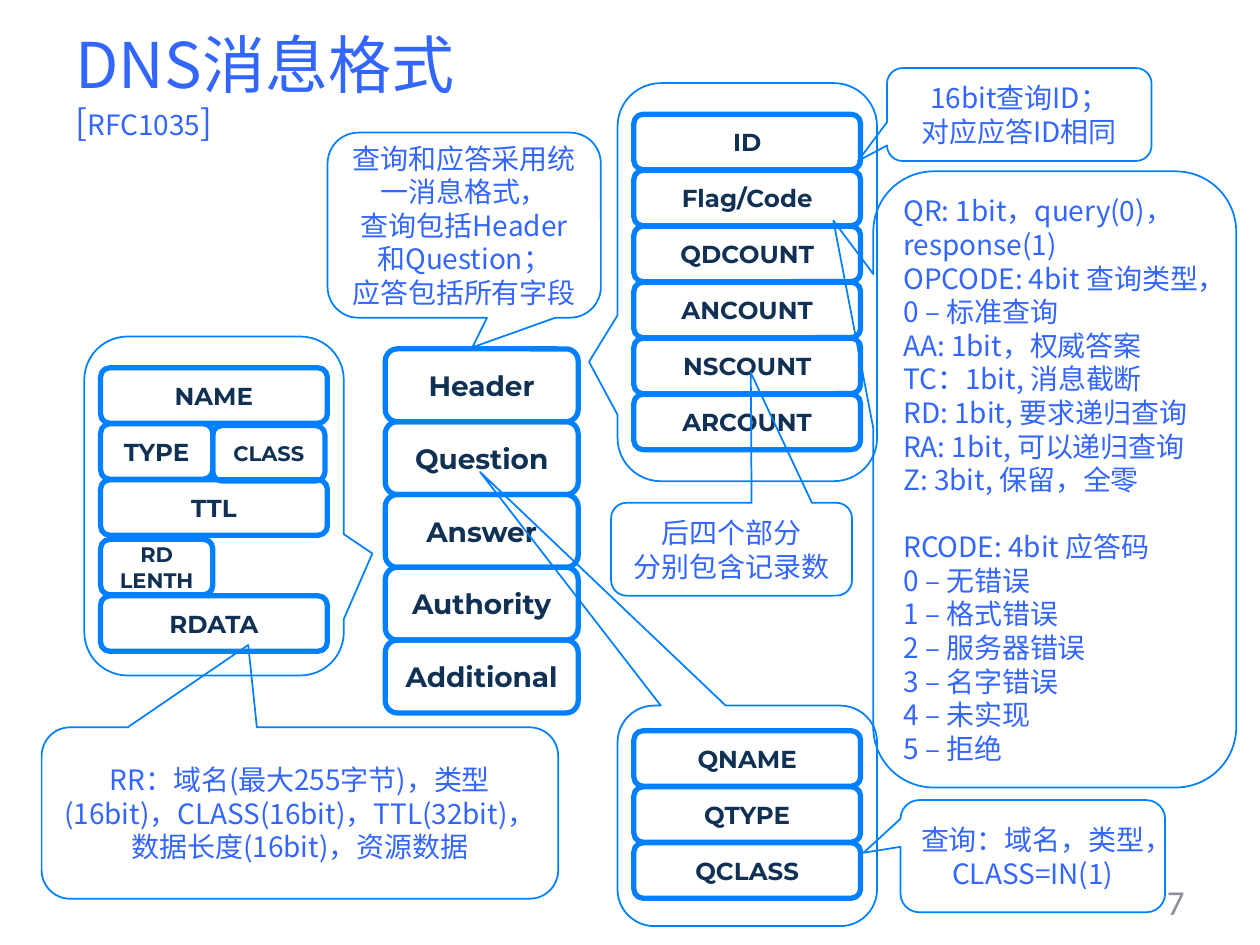
from dataclasses import dataclass

from lxml import etree
from pptx import Presentation
from pptx.dml.color import RGBColor
from pptx.enum.shapes import MSO_SHAPE
from pptx.enum.text import MSO_ANCHOR, MSO_AUTO_SIZE, PP_ALIGN
from pptx.oxml.ns import qn
from pptx.util import Pt

ROUNDED, CALLOUT = MSO_SHAPE.ROUNDED_RECTANGLE, MSO_SHAPE.ROUNDED_RECTANGULAR_CALLOUT
LEFT, CENTER, RIGHT = PP_ALIGN.LEFT, PP_ALIGN.CENTER, PP_ALIGN.RIGHT
MIDDLE = MSO_ANCHOR.MIDDLE
NO_AUTOFIT = MSO_AUTO_SIZE.NONE
TITLE_ONLY = 5


@dataclass(frozen=True)
class Theme:
    outline: RGBColor = RGBColor(0x00, 0x80, 0xFF)
    label: RGBColor = RGBColor(0x10, 0x31, 0x54)
    note: RGBColor = RGBColor(0x33, 0x66, 0xFF)
    number: RGBColor = RGBColor(0x8C, 0x90, 0x99)
    label_font: str = "Montserrat"
    note_font: str = "Noto Sans CJK SC"
    number_font: str = "Calibri"
    title_size: float = 36
    bracket_size: float = 20
    section_size: float = 16
    field_size: float = 14
    small_size: float = 12
    note_size: float = 16
    note_line: float = 19.2
    box_line: float = 3
    callout_line: float = 1


THEME = Theme()

TITLE = "DNS消息格式"
REFERENCE = "RFC1035"
PAGE_NUMBER = "7"

SECTIONS = ["Header", "Question", "Answer", "Authority", "Additional"]
SECTION_LEFT, SECTION_TOP, SECTION_WIDTH, SECTION_PITCH = 220.2, 199.4, 110.2, 41.6

FIELD_WIDTH, HALF_WIDTH, FIELD_HEIGHT, FIELD_PITCH = 129.6, 64.1, 31.7, 32
FRAME_WIDTH, FRAME_MARGIN = 148.3, 9.3


def stack(labels):
    """Full-width fields, one to a row: (lines, left, top, width, size)."""
    return [([label], 0, row * FIELD_PITCH, FIELD_WIDTH, THEME.field_size)
            for row, label in enumerate(labels)]


RECORD_FIELDS = [
    (["NAME"], 0, 0, FIELD_WIDTH, THEME.field_size),
    (["TYPE"], 0, FIELD_PITCH, HALF_WIDTH, THEME.field_size),
    (["CLASS"], HALF_WIDTH, FIELD_PITCH + 1, HALF_WIDTH, THEME.small_size),
    (["TTL"], 0, 2 * FIELD_PITCH, FIELD_WIDTH, THEME.field_size),
    (["RD", "LENTH"], 0, 98, HALF_WIDTH, THEME.small_size),
    (["RDATA"], 0, 130.3, FIELD_WIDTH, THEME.field_size),
]

# fields, first field's left and top, frame top and height, pointer tip
FIELD_GROUPS = [
    (stack(["ID", "Flag/Code", "QDCOUNT", "ANCOUNT", "NSCOUNT", "ARCOUNT"]),
     362.2, 65.3, 47.5, 227.5, (-0.61, 0.2)),
    (stack(["QNAME", "QTYPE", "QCLASS"]),
     362.2, 417.6, 403.2, 126, (-1.03, -1.56)),
    (RECORD_FIELDS, 57.5, 210.2, 192.3, 193.7, (0.61, 0.14)),
]

# paragraphs, (left, top, width, height), pointer tip, alignment
NOTES = [
    (["查询和应答采用统一消息格式，", "查询包括Header和Question；", "应答包括所有字段"],
     (187.2, 75.8, 156.2, 105.8), (0.03, 0.66), CENTER),
    (["16bit查询ID；", "对应应答ID相同"],
     (506.9, 38.9, 151.2, 53.1), (-0.61, 0.5), CENTER),
    (["QR: 1bit，query(0)，", "response(1)", "OPCODE: 4bit 查询类型，0 – 标准查询",
      "AA: 1bit，权威答案", "TC：1bit, 消息截断", "RD: 1bit, 要求递归查询",
      "RA: 1bit, 可以递归查询", "Z: 3bit, 保留，全零", "RCODE: 4bit 应答码",
      "0 – 无错误", "1 – 格式错误", "2 – 服务器错误", "3 – 名字错误",
      "4 – 未实现", "5 – 拒绝"],
     (499, 97.9, 207.4, 352.1), (-0.61, -0.42), LEFT),
    (["后四个部分", "分别包含记录数"],
     (349.2, 287.3, 137.7, 53.1), (0.08, -1.9), CENTER),
    (["查询：域名，类型，CLASS=IN(1)"],
     (514.6, 457.2, 151.2, 64.1), (-0.64, -0.03), CENTER),
    (["RR：域名(最大255字节)，类型(16bit)，CLASS(16bit)，TTL(32bit)，",
      "数据长度(16bit)，资源数据"],
     (23.8, 415.6, 295.2, 98), (-0.1, -0.98), CENTER),
]
SPACED_NOTE_START = "RCODE"


def style_font(font, face, size, color, bold=False):
    font.name, font.size, font.bold = face, Pt(size), bold
    font.color.rgb = color


def set_east_asian(paragraph, face):
    properties = paragraph.font._element
    latin = properties.find(qn("a:latin"))
    east_asian = etree.Element(qn("a:ea"), typeface=face)
    latin.addnext(east_asian)


def write(frame, lines, alignment, face, size, color, bold=False):
    frame.word_wrap = True
    frame.vertical_anchor = MIDDLE
    for index, line in enumerate(lines):
        paragraph = frame.paragraphs[0] if index == 0 else frame.add_paragraph()
        paragraph.text = line
        paragraph.alignment = alignment
        style_font(paragraph.font, face, size, color, bold)
        set_east_asian(paragraph, face)


def add_outline(shapes, kind, place, weight):
    outline = shapes.add_shape(kind, *map(Pt, place))
    outline.shadow.inherit = False
    outline.fill.background()
    outline.line.color.rgb = THEME.outline
    outline.line.width = Pt(weight)
    return outline


def add_box(shapes, lines, place, size):
    box = add_outline(shapes, ROUNDED, place, THEME.box_line)
    write(box.text_frame, lines, CENTER, THEME.label_font, size, THEME.label, True)


def add_callout(shapes, place, tip):
    callout = add_outline(shapes, CALLOUT, place, THEME.callout_line)
    callout.adjustments[0], callout.adjustments[1] = tip
    return callout


def add_note(shapes, lines, place, tip, alignment):
    frame = add_callout(shapes, place, tip).text_frame
    write(frame, lines, alignment, THEME.note_font, THEME.note_size, THEME.note)
    for paragraph in frame.paragraphs:
        paragraph.line_spacing = Pt(THEME.note_line)
        if paragraph.text.startswith(SPACED_NOTE_START):
            paragraph.space_before = Pt(THEME.note_line)


def add_title(title):
    title.left, title.top, title.width, title.height = map(Pt, (36, 2.9, 648, 90))
    frame = title.text_frame
    frame.auto_size = NO_AUTOFIT
    write(frame, [""], LEFT, THEME.note_font, THEME.title_size, THEME.note)
    paragraph = frame.paragraphs[0]
    paragraph.add_run().text = TITLE
    paragraph.add_line_break()
    for part, size in (("[", THEME.bracket_size), (REFERENCE, THEME.note_size),
                       ("]", THEME.bracket_size)):
        run = paragraph.add_run()
        run.text = part
        run.font.size = Pt(size)


def main():
    presentation = Presentation()
    presentation.slide_width, presentation.slide_height = Pt(720), Pt(540)
    slide = presentation.slides.add_slide(presentation.slide_layouts[TITLE_ONLY])
    shapes = slide.shapes
    add_title(shapes.title)

    number = shapes.add_textbox(*map(Pt, (516, 500.5, 168, 28.8)))
    write(number.text_frame, [PAGE_NUMBER], RIGHT, THEME.number_font,
          THEME.bracket_size, THEME.number)

    for row, section in enumerate(SECTIONS):
        top = SECTION_TOP + row * SECTION_PITCH
        add_box(shapes, [section], (SECTION_LEFT, top, SECTION_WIDTH, SECTION_PITCH),
                THEME.section_size)

    for fields, left, top, frame_top, frame_height, tip in FIELD_GROUPS:
        members = shapes.add_group_shape().shapes
        for lines, across, down, width, size in fields:
            add_box(members, lines, (left + across, top + down, width, FIELD_HEIGHT), size)
        add_callout(members, (left - FRAME_MARGIN, frame_top, FRAME_WIDTH, frame_height), tip)

    for note in NOTES:
        add_note(shapes, *note)

    presentation.save("out.pptx")


if __name__ == "__main__":
    main()
